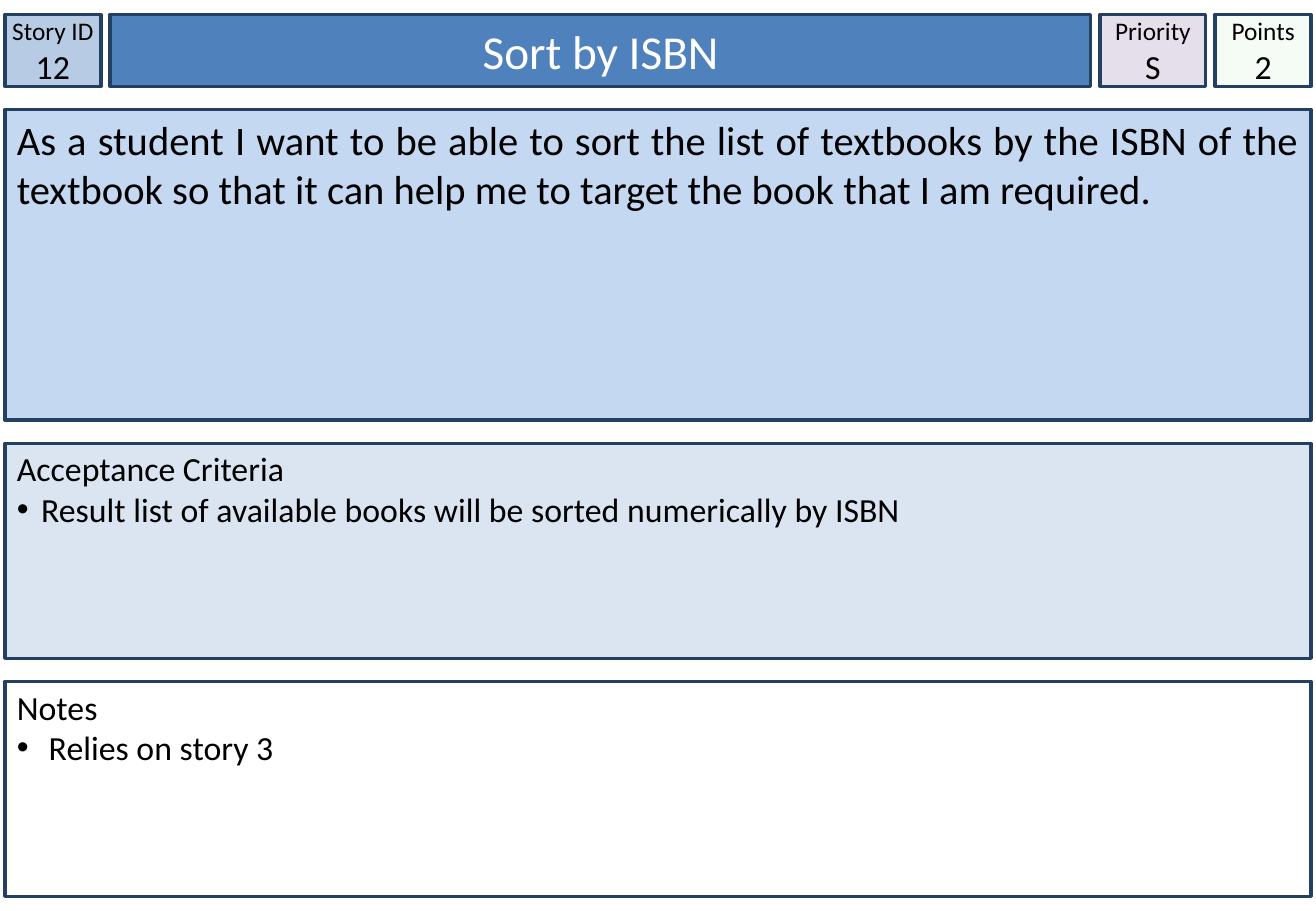
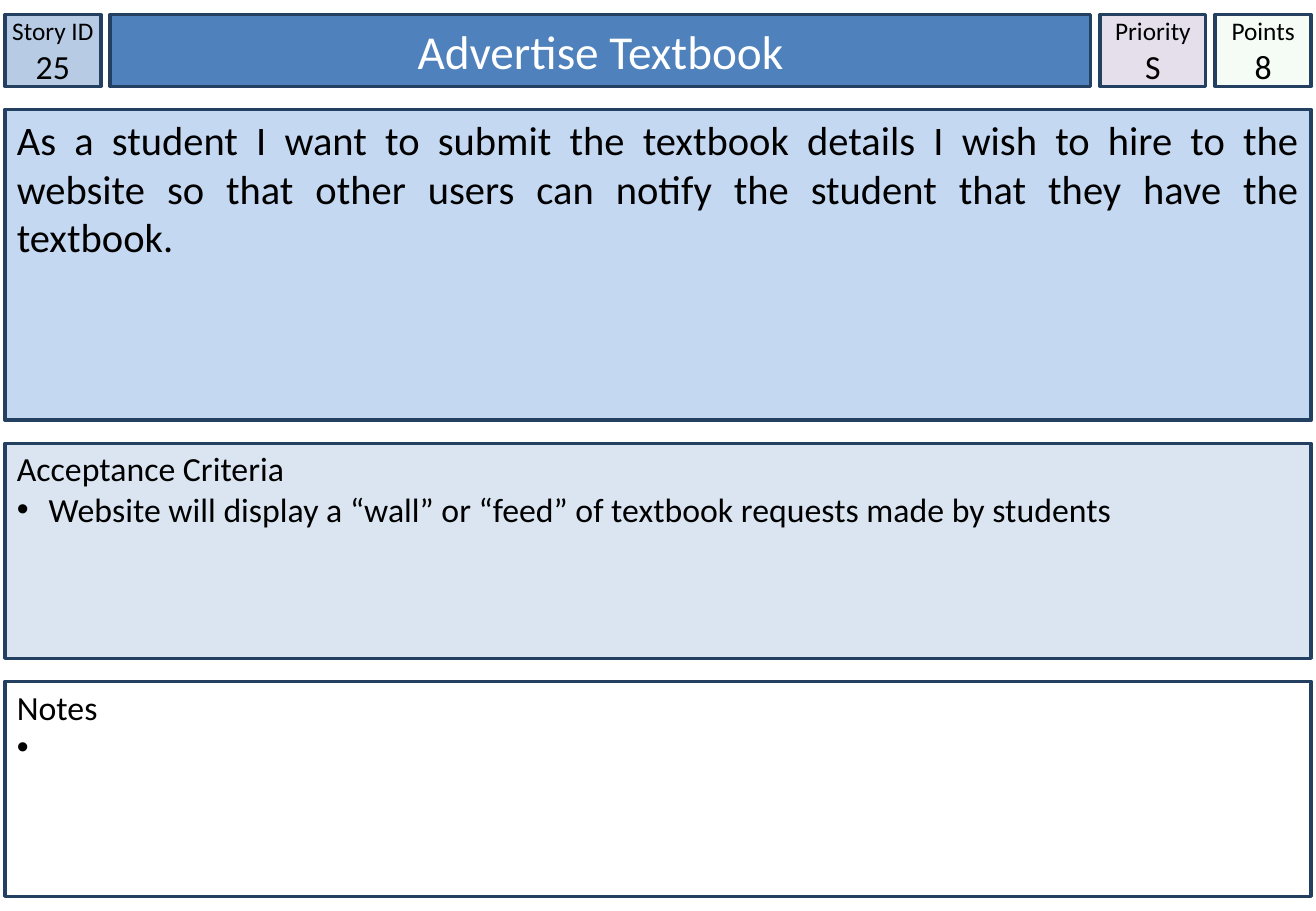
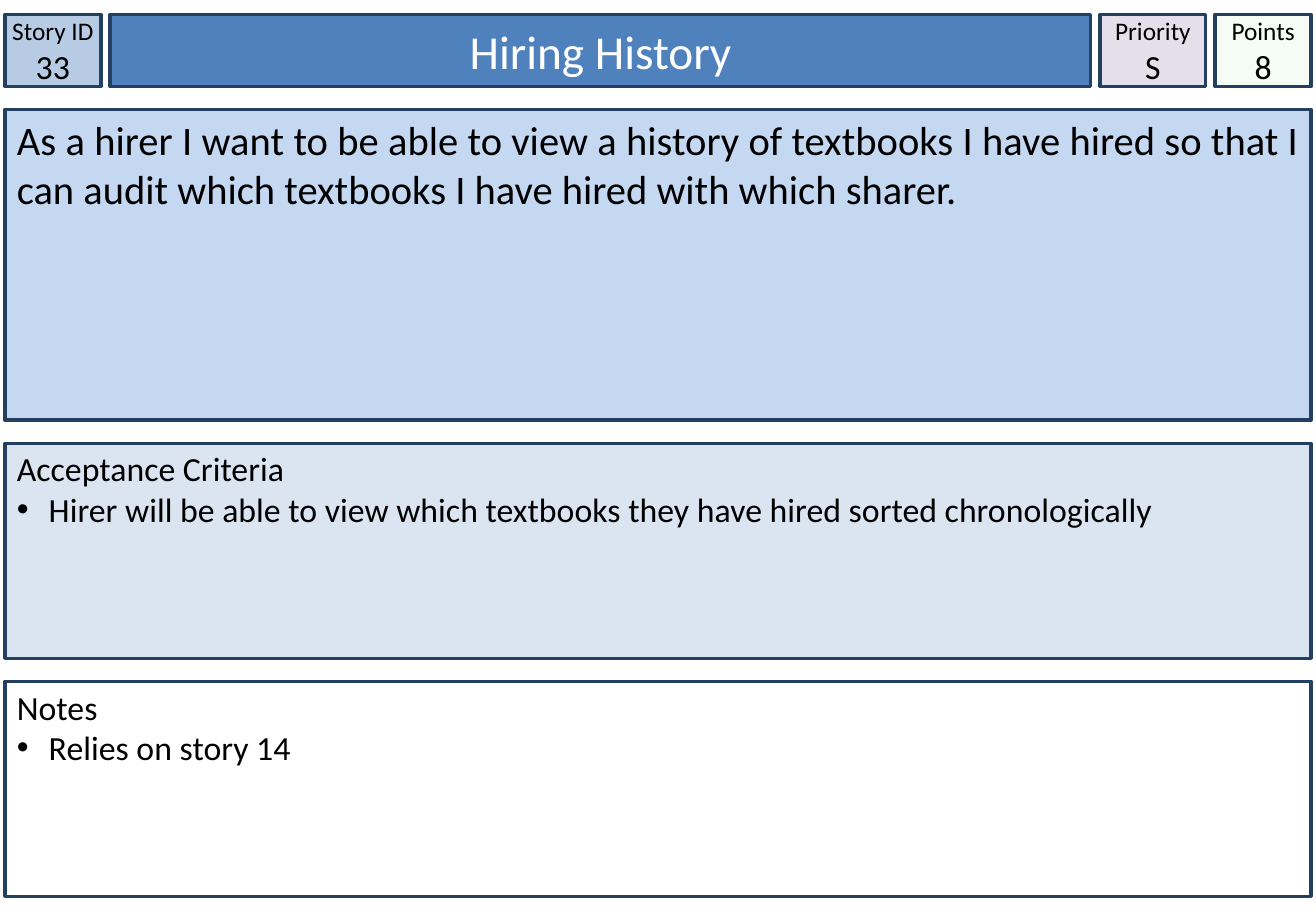
from dataclasses import dataclass

from lxml.etree import SubElement as Sub
from pptx import Presentation
from pptx.dml.color import RGBColor as Rgb
from pptx.enum.shapes import MSO_SHAPE as Kind
from pptx.enum.text import MSO_ANCHOR as Anchor, MSO_AUTO_SIZE as Fit, PP_ALIGN as Align
from pptx.oxml.ns import qn
from pptx.util import Inches, Pt


@dataclass(frozen=True)
class Theme:
    font: str = "Calibri"
    ink: str = "000000"
    white: str = "FFFFFF"
    edge: str = "244061"
    ident: str = "B7CCE4"
    title: str = "4F81BD"
    rank: str = "E5DFEC"
    points: str = "CCF0CD"
    story: str = "C5D8F1"
    tests: str = "DAE5F1"
    head: int = 28
    lead: int = 24
    body: int = 20
    label: int = 15


@dataclass(frozen=True)
class Card:
    ident: str
    title: str
    rank: str
    points: str
    story: str
    tests: str
    notes: str


THEME = Theme()
LEFT, TOP, WIDTH = 0.04, 0.12, 10.75
HEAD, ROW = 0.59, 0.19
COLS = (0.79, 8.07, 0.87, 0.79)
ROWS = (HEAD, 2.56, 1.77, 1.77)

CARDS = (
    Card("12", "Sort by ISBN", "S", "2",
         "As a student I want to be able to sort the list of textbooks by the ISBN "
         "of the textbook so that it can help me to target the book that I am required.",
         "Result list of available books will be sorted numerically by ISBN",
         " Relies on story 3"),
    Card("25", "Advertise Textbook", "S", "8",
         "As a student I want to submit the textbook details I wish to hire to the "
         "website so that other users can notify the student that they have the textbook.",
         " Website will display a “wall” or “feed” of textbook requests made by students",
         " "),
    Card("33", "Hiring History", "S", "8",
         "As a hirer I want to be able to view a history of textbooks I have hired "
         "so that I can audit which textbooks I have hired with which sharer.",
         " Hirer will be able to view which textbooks they have hired sorted chronologically",
         " Relies on story 14"),
)


def spread(start, sizes, gap):
    spots = []
    for size in sizes:
        spots.append(start)
        start += size + gap
    return spots


def style(shape, box, fill, anchor, side=0.1, top=0.05):
    shape.left, shape.top, shape.width, shape.height = map(Inches, box)
    shape.fill.solid()
    shape.fill.fore_color.rgb = Rgb.from_string(fill)
    shape.line.color.rgb = Rgb.from_string(THEME.edge)
    shape.line.width = Pt(2)
    frame = shape.text_frame
    frame.word_wrap = True
    frame.auto_size = Fit.NONE
    frame.vertical_anchor = anchor
    frame.margin_left = frame.margin_right = Inches(side)
    frame.margin_top, frame.margin_bottom = Inches(top), Inches(0.05)
    return shape


def panel(slide, box, fill, anchor=Anchor.TOP, **pads):
    shape = slide.shapes.add_shape(Kind.RECTANGLE, *map(Inches, box))
    shape.shadow.inherit = False
    return style(shape, box, fill, anchor, **pads)


def fade(shape, share):
    color = shape.fill.fore_color
    node = shape._element.spPr.find(qn("a:solidFill")).find(qn("a:srgbClr"))
    Sub(node, qn("a:alpha"), val=str(share * 1000))
    return color


def bullet(para):
    props = para._p.get_or_add_pPr()
    props.set("marL", str(Inches(0.2)))
    props.set("indent", str(-Inches(0.2)))
    Sub(props, qn("a:buFont"), typeface="Arial")
    Sub(props, qn("a:buChar"), char="•")


def write(shape, lines, align, color=THEME.ink, dots=False):
    frame = shape.text_frame
    for spot, (text, size) in enumerate(lines):
        para = frame.add_paragraph() if spot else frame.paragraphs[0]
        para.text = text
        para.alignment = align
        if dots and spot:
            bullet(para)
        para.font.name = THEME.font
        para.font.size = Pt(size)
        para.font.color.rgb = Rgb.from_string(color)


def badge(slide, box, fill, label, value):
    shape = panel(slide, box, fill, Anchor.MIDDLE, side=0)
    write(shape, ((label, THEME.label), (value, THEME.body)), Align.CENTER)
    return shape


def section(slide, box, fill, label, item):
    shape = panel(slide, box, fill, top=0.04)
    write(shape, ((label, THEME.body), (item, THEME.body)), Align.LEFT, dots=True)


def draw(slide, card):
    gap = (WIDTH - sum(COLS)) / (len(COLS) - 1)
    cells = [(left, TOP, width, HEAD)
             for left, width in zip(spread(LEFT, COLS, gap), COLS)]
    bands = [(LEFT, top, WIDTH, height)
             for top, height in zip(spread(TOP, ROWS, ROW), ROWS)]

    title = style(slide.shapes.title, cells[1], THEME.title, Anchor.MIDDLE)
    write(title, ((card.title, THEME.head),), Align.CENTER, THEME.white)
    badge(slide, cells[0], THEME.ident, "Story ID", card.ident)
    badge(slide, cells[2], THEME.rank, "Priority", card.rank)
    fade(badge(slide, cells[3], THEME.points, "Points", card.points), 20)

    story = panel(slide, bands[1], THEME.story)
    write(story, ((card.story, THEME.lead),), Align.JUSTIFY)
    section(slide, bands[2], THEME.tests, "Acceptance Criteria", card.tests)
    section(slide, bands[3], THEME.white, "Notes", card.notes)


def main():
    deck = Presentation()
    deck.slide_width, deck.slide_height = Inches(10.83), Inches(7.5)
    for card in CARDS:
        draw(deck.slides.add_slide(deck.slide_layouts[5]), card)
    deck.save("out.pptx")


if __name__ == "__main__":
    main()
